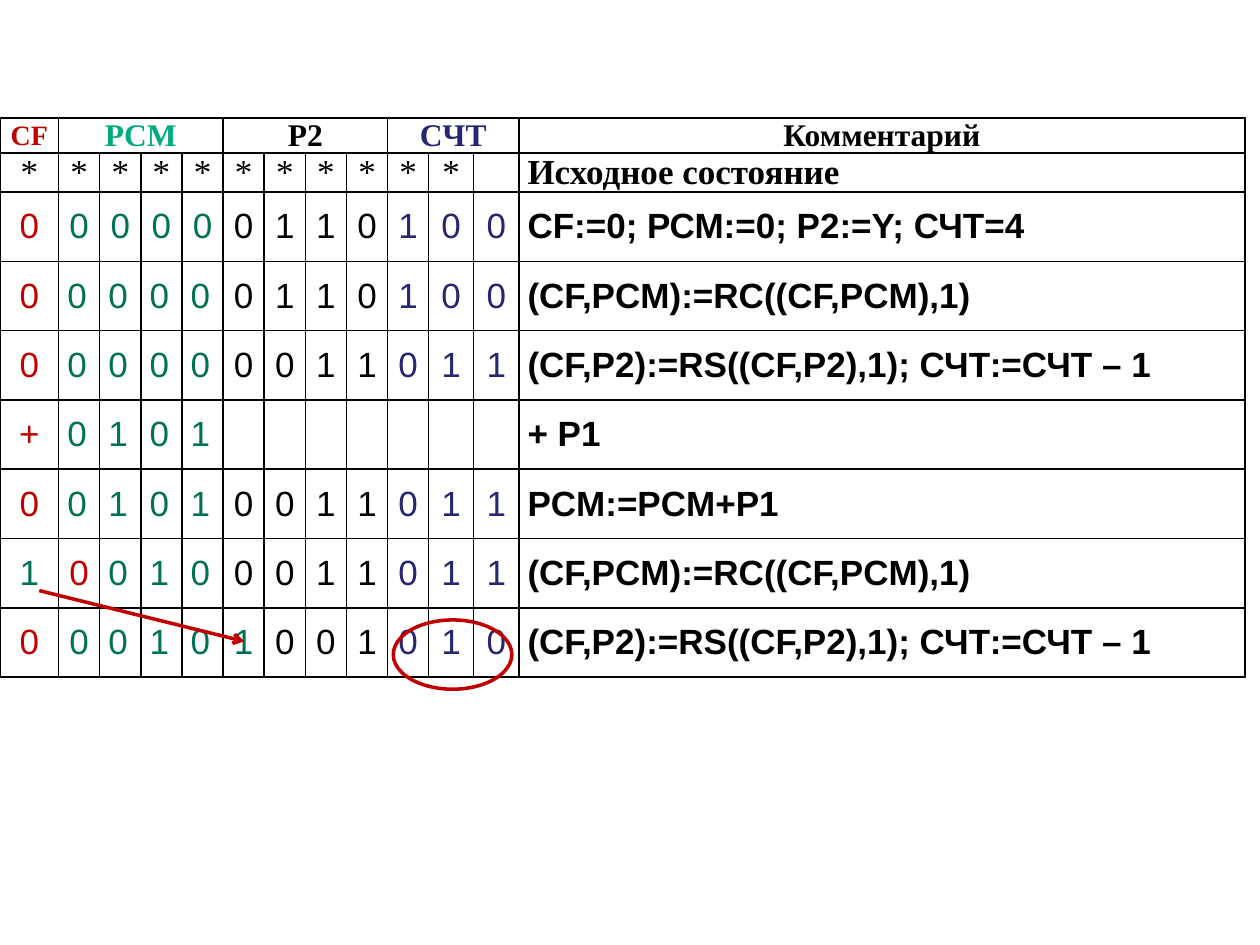
from lxml import etree
from pptx import Presentation
from pptx.dml.color import RGBColor
from pptx.enum.shapes import MSO_CONNECTOR, MSO_SHAPE
from pptx.enum.text import MSO_ANCHOR, PP_ALIGN
from pptx.oxml.ns import qn
from pptx.util import Pt

LEFT, CENTER = PP_ALIGN.LEFT, PP_ALIGN.CENTER
MIDDLE = MSO_ANCHOR.MIDDLE
STRAIGHT = MSO_CONNECTOR.STRAIGHT
OVAL = MSO_SHAPE.OVAL

RED = RGBColor(0xC0, 0x00, 0x00)
MINT = RGBColor(0x00, 0xAB, 0x7E)
GREEN = RGBColor(0x00, 0x72, 0x54)
NAVY = RGBColor(0x26, 0x26, 0x73)
BLACK = RGBColor(0x00, 0x00, 0x00)

SERIF, SANS = "Times New Roman", "Arial"
WIDTHS = [33.5] + [23.5] * 9 + [25.75] * 2 + [415]
HEIGHTS = [20] * 2 + [39.6] * 7
NOTE = len(WIDTHS) - 1
INKS = [RED] + [GREEN] * 4 + [BLACK] * 4 + [NAVY] * 3
SWAPS = {(7, 0): GREEN, (7, 1): RED, (8, 5): GREEN}
MIDS = {(7, 1), (8, 1)}

HEADS = [
    ("CF", 0, 1, 16, RED),
    ("PCM", 1, 4, 18, MINT),
    ("P2", 5, 4, 18, BLACK),
    ("CЧТ", 9, 3, 18, NAVY),
    ("Комментарий", NOTE, 1, 18, BLACK),
]
STEPS = [
    ("000000110100", "CF:=0; РСМ:=0; Р2:=Y; СЧТ=4"),
    ("000000110100", "(CF,PCM):=RС((CF,PCM),1)"),
    ("000000011011", "(CF,P2):=RS((CF,P2),1); СЧТ:=СЧТ – 1"),
    ("+0101", "+ P1"),
    ("001010011011", "PCM:=PCM+P1"),
    ("100100011011", "(CF,PCM):=RС((CF,PCM),1)"),
    ("000101001010", "(CF,P2):=RS((CF,P2),1); СЧТ:=СЧТ – 1"),
]


class Deck:
    """Draws tables, ovals and arrows on the current slide in one style."""

    def __init__(self, slide):
        self.slide = slide
        self.ink = RED
        self.line = Pt(2)
        self.rule = Pt(1)

    def grid(self, left, top, widths, heights):
        frame = self.slide.shapes.add_table(
            len(heights), len(widths), Pt(left), Pt(top),
            Pt(sum(widths)), Pt(sum(heights)))
        table = frame.table
        table.first_row = table.horz_banding = False
        for col, width in zip(table.columns, widths):
            col.width = Pt(width)
        for row, height in zip(table.rows, heights):
            row.height = Pt(height)
        for cell in table.iter_cells():
            self.edge(cell)
        return table

    def edge(self, cell):
        cell.margin_left = cell.margin_right = Pt(5)
        cell.margin_top = cell.margin_bottom = 0
        cell.vertical_anchor = MIDDLE
        props = cell._tc.get_or_add_tcPr()
        for side in ("lnL", "lnR", "lnT", "lnB"):
            line = etree.SubElement(props, qn(f"a:{side}"), w=str(self.rule))
            fill = etree.SubElement(line, qn("a:solidFill"))
            etree.SubElement(fill, qn("a:srgbClr"), val=str(BLACK))
        cell.fill.background()

    def label(self, cell, text, face, ink=BLACK, size=20, bold=False, align=CENTER):
        cell.text_frame.text = text
        para = cell.text_frame.paragraphs[0]
        para.alignment = align
        para.space_after = Pt(3)
        for run in para.runs:
            font = run.font
            font.name, font.size, font.bold = face, Pt(size), bold
            font.color.rgb = ink

    def oval(self, left, top, width, height):
        shape = self.slide.shapes.add_shape(
            OVAL, Pt(left), Pt(top), Pt(width), Pt(height))
        shape.shadow.inherit = False
        shape.fill.background()
        shape.line.color.rgb = self.ink
        shape.line.width = self.line

    def arrow(self, x1, y1, x2, y2):
        link = self.slide.shapes.add_connector(
            STRAIGHT, Pt(x1), Pt(y1), Pt(x2), Pt(y2))
        link.line.color.rgb = self.ink
        link.line.width = self.line
        props = link._element.spPr
        etree.SubElement(props.find(qn("a:ln")), qn("a:tailEnd"), type="arrow")
        etree.SubElement(props, qn("a:effectLst"))


def main():
    show = Presentation()
    show.slide_width, show.slide_height = Pt(720), Pt(540)
    deck = Deck(show.slides.add_slide(show.slide_layouts[6]))
    table = deck.grid(0, 67.5, WIDTHS, HEIGHTS)

    for text, col, span, size, ink in HEADS:
        cell = table.cell(0, col)
        if span > 1:
            cell.merge(table.cell(0, col + span - 1))
        deck.label(cell, text, SERIF, ink, size, True)

    for col in range(NOTE - 1):
        deck.label(table.cell(1, col), "*", SERIF)
    deck.label(table.cell(1, NOTE), "Исходное состояние", SERIF, bold=True, align=LEFT)

    for row, (bits, note) in enumerate(STEPS, 2):
        for col, bit in enumerate(bits):
            spot = row, col
            left = row > 2 and 1 <= col <= 4 and spot not in MIDS
            deck.label(table.cell(row, col), bit, SANS, SWAPS.get(spot, INKS[col]),
                       align=LEFT if left else CENTER)
        deck.label(table.cell(row, NOTE), note, SANS, bold=True, align=LEFT)

    deck.oval(224.75, 354.25, 67.75, 39.6)
    deck.arrow(22.5, 337.5, 139.5, 366.5)
    show.save("out.pptx")


if __name__ == "__main__":
    main()
